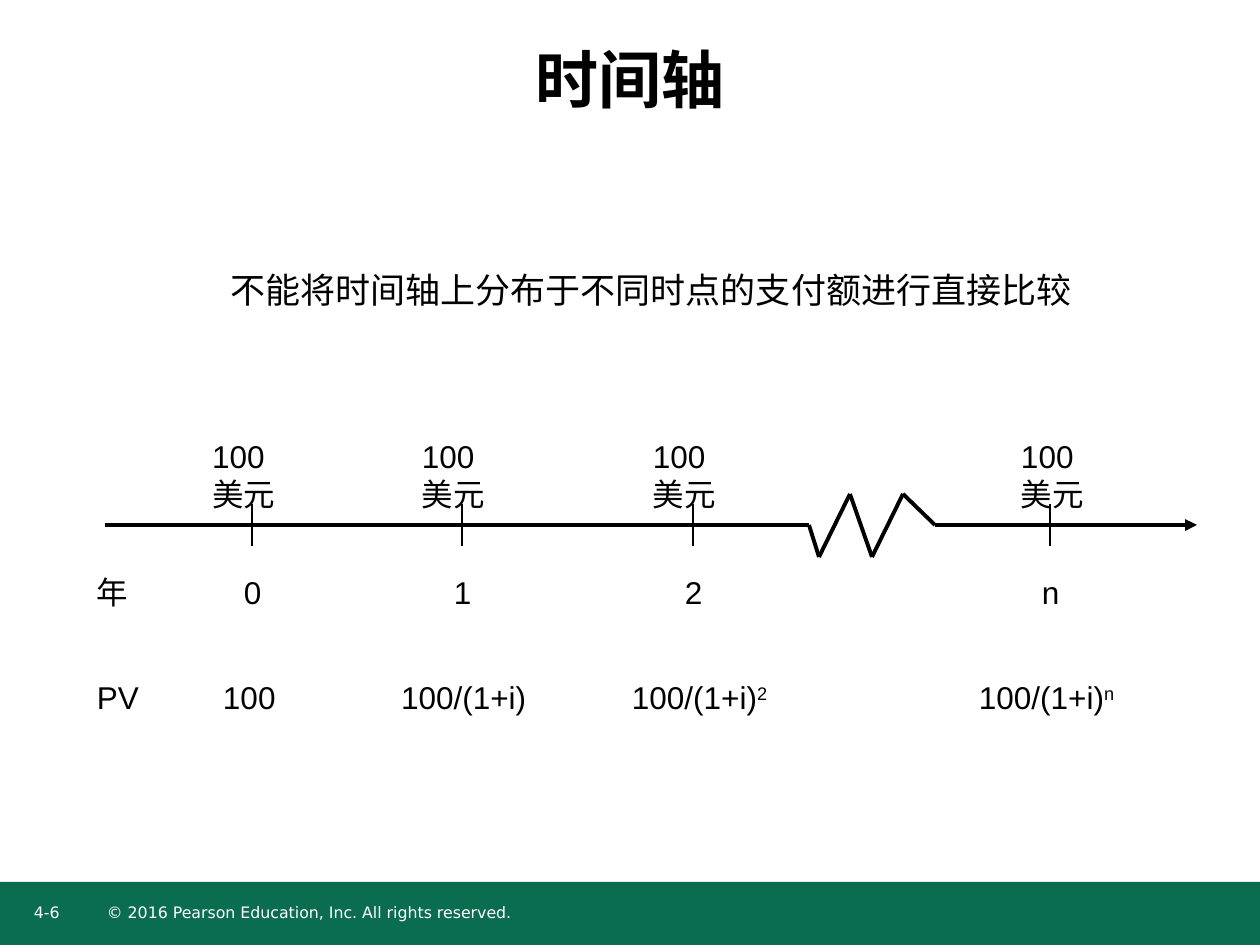
import pptx
import pptx.dml.color
import pptx.enum.shapes
import pptx.enum.text
import pptx.oxml.ns
import pptx.util
from lxml import etree

PX_PER_INCH = 126
BLACK, WHITE, GREEN = "000000", "FFFFFF", "0B6D4F"
AXIS_Y = 525
LEFT = pptx.enum.text.PP_ALIGN.LEFT
CENTER = pptx.enum.text.PP_ALIGN.CENTER


def px(length):
    return pptx.util.Emu(round(length * 914400 / PX_PER_INCH))


def color(value):
    return pptx.dml.color.RGBColor.from_string(value)


def add_text(slide, box, text, size=18, font="Arial", fill=BLACK, bold=False,
             align=LEFT, margins=(13, 6), middle=False, superscript=""):
    shape = slide.shapes.add_textbox(*map(px, box))
    frame = shape.text_frame
    frame.word_wrap = True
    frame.margin_left = frame.margin_right = px(margins[0])
    frame.margin_top = frame.margin_bottom = px(margins[1])
    if middle:
        frame.vertical_anchor = pptx.enum.text.MSO_ANCHOR.MIDDLE
    paragraph = frame.paragraphs[0]
    paragraph.alignment = align
    paragraph.font.size = pptx.util.Pt(size)
    paragraph.font.name = font
    paragraph.font.bold = bold
    paragraph.font.color.rgb = color(fill)
    paragraph.add_run().text = text
    if superscript:
        run = paragraph.add_run()
        run.text = superscript
        run.font._element.set("baseline", "30000")


def add_line(slide, start, end, width=2.25, arrow=False):
    connector = slide.shapes.add_connector(
        pptx.enum.shapes.MSO_CONNECTOR.STRAIGHT, *map(px, (*start, *end)))
    connector.line.color.rgb = color(BLACK)
    connector.line.width = pptx.util.Pt(width)
    if arrow:
        line = connector.line._get_or_add_ln()
        etree.SubElement(line, pptx.oxml.ns.qn("a:tailEnd"), type="triangle")
    properties = connector._element.spPr
    etree.SubElement(properties, pptx.oxml.ns.qn("a:effectLst"))


def add_footer(slide):
    bar = slide.shapes.add_shape(
        pptx.enum.shapes.MSO_SHAPE.RECTANGLE, *map(px, (0, 882, 1260, 63)))
    bar.shadow.inherit = False
    bar.fill.solid()
    bar.fill.fore_color.rgb = color(GREEN)
    bar.line.fill.background()
    for left, width, text in (
            (107, 743, "© 2016 Pearson Education, Inc. All rights reserved."),
            (34, 49, "4-6")):
        add_text(slide, (left, 903, width, 25), text, size=9,
                 font="DejaVu Sans", fill=WHITE, margins=(0, 0))


def add_axis(slide):
    # The zigzag marks the skipped years
    points = [(105, AXIS_Y), (809, AXIS_Y), (819, 557), (850, 494),
              (872, 557), (903, 494), (935, AXIS_Y), (1197, AXIS_Y)]
    for start, end in zip(points, points[1:]):
        add_line(slide, start, end, arrow=end == points[-1])


def add_period(slide, tick, amount_left, amount_width, year,
               value_left, value_width, value, power):
    add_text(slide, (amount_left, 431, amount_width, 88), "100美元")
    add_line(slide, (tick, AXIS_Y - 21), (tick, AXIS_Y + 21), width=0.75)
    add_text(slide, (tick - 21, 567, 73, 50), year)
    add_text(slide, (value_left, 672, value_width, 50), value,
             superscript=power)


def main():
    presentation = pptx.Presentation()
    presentation.slide_width = px(1260)
    presentation.slide_height = px(945)
    slide = presentation.slides.add_slide(presentation.slide_layouts[6])

    # Footer, title and statement
    add_footer(slide)
    add_text(slide, (53, 0, 1155, 157), "时间轴", size=36, font="DejaVu Sans",
             bold=True, align=CENTER, margins=(0, 0), middle=True)
    add_text(slide, (84, 262, 1134, 55),
             "不能将时间轴上分布于不同时点的支付额进行直接比较",
             size=20, align=CENTER)

    # Timeline with payments, years and present values
    add_axis(slide)
    for top, label in ((567, "年"), (672, "PV")):
        add_text(slide, (84, top, 116, 50), label)
    for period in (
            (252, 199, 105, "0", 210, 95, "100", ""),
            (462, 409, 102, "1", 388, 168, "100/(1+i)", ""),
            (693, 640, 98, "2", 619, 179, "100/(1+i)", "2"),
            (1050, 1008, 108, "n", 966, 179, "100/(1+i)", "n")):
        add_period(slide, *period)

    presentation.save("out.pptx")


if __name__ == "__main__":
    main()
